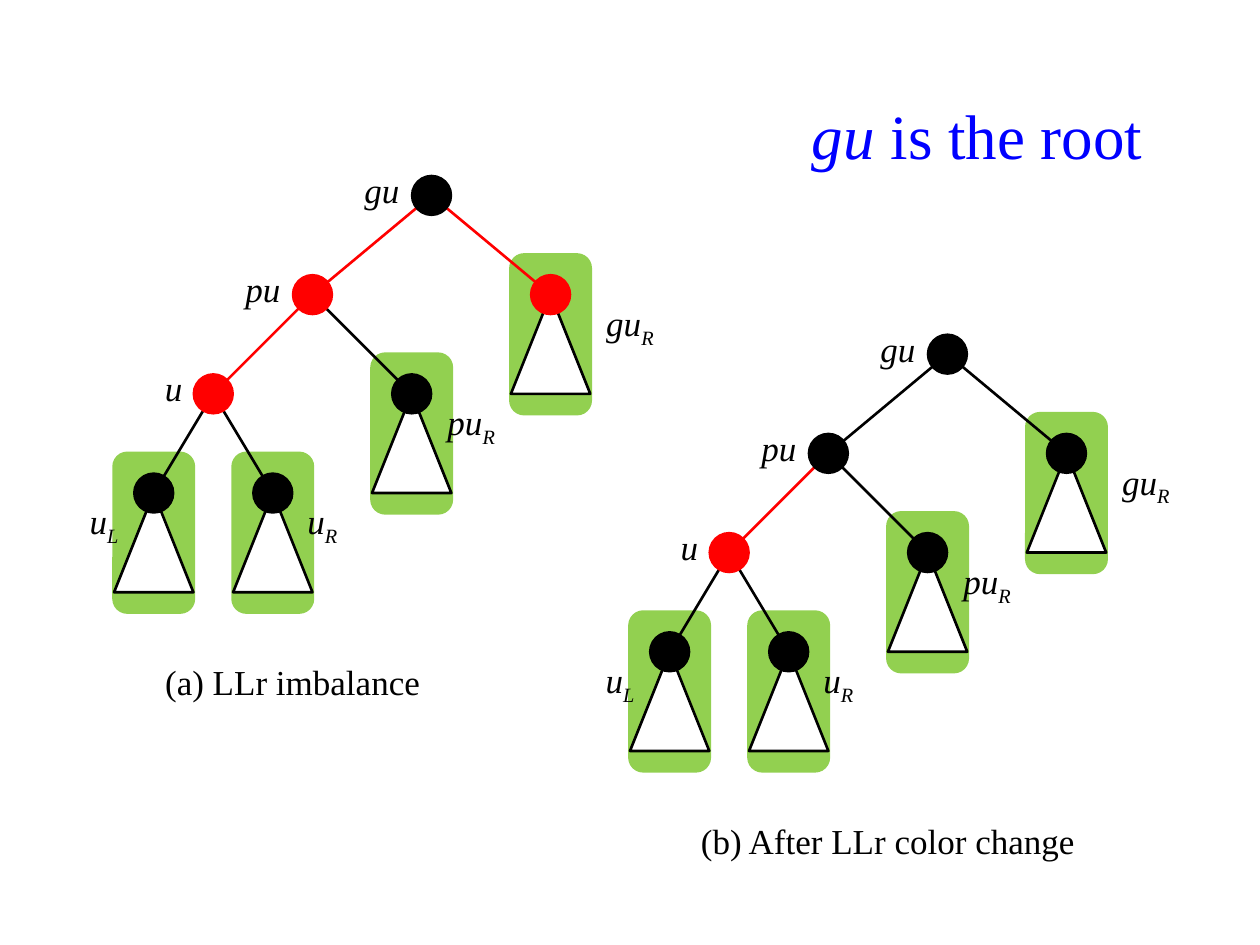
from lxml.etree import SubElement
from pptx import Presentation
from pptx.dml.color import RGBColor
from pptx.enum.shapes import MSO_CONNECTOR, MSO_SHAPE
from pptx.enum.text import MSO_ANCHOR, PP_ALIGN
from pptx.oxml.ns import qn
from pptx.util import Cm, Pt

BLACK, RED, GREEN, WHITE, BLUE = "000000", "FF0000", "92D050", "FFFFFF", "0000FF"
rgb = RGBColor.from_string

prs = Presentation()
prs.slide_width, prs.slide_height = Cm(25.4), Cm(19.05)
s = prs.slides.add_slide(prs.slide_layouts[6])


def shape(kind, x, y, w, h, fill, line, weight):
    sp = s.shapes.add_shape(kind, Cm(x), Cm(y), Cm(w), Cm(h))
    sp.shadow.inherit = False
    sp.fill.solid()
    sp.fill.fore_color.rgb = rgb(fill)
    sp.line.color.rgb = rgb(line)
    sp.line.width = Pt(weight)


def text(x, y, w, h, plain="", italic="", sub="", size=20, color=BLACK,
         anchor=MSO_ANCHOR.MIDDLE):
    """Centred line: italic part, its subscript, then the plain part."""
    tf = s.shapes.add_textbox(Cm(x), Cm(y), Cm(w), Cm(h)).text_frame
    tf.word_wrap = False
    tf.vertical_anchor = anchor
    tf.margin_left = tf.margin_right = tf.margin_top = 0
    tf.margin_bottom = Cm(0.1) if anchor == MSO_ANCHOR.BOTTOM else 0
    p = tf.paragraphs[0]
    p.alignment = PP_ALIGN.CENTER
    for part in (italic, sub, plain):
        if not part:
            continue
        r = p.add_run()
        r.text = part
        r.font.name = "Times New Roman"
        r.font.size = Pt(size)
        r.font.italic = part != plain
        r.font.color.rgb = rgb(color)
        if part == sub:
            r._r.get_or_add_rPr().set("baseline", "-25000")


# Title
text(14.7, 1.5, 10, 2.4, " is the root", italic="gu", size=36, color=BLUE)

# Node: parent, centre from the root, label left and top from the centre, label width
nodes = {
    "gu": (None, 0, 0, -1.6, -0.4, 1.2),
    "pu": ("gu", -2.4, 2, -1.6, -0.4, 1.2),
    "u": ("pu", -4.4, 4, -1.2, -0.4, 0.8),
    "guR": ("gu", 2.4, 2, 0.8, 0.4, 1.6),
    "puR": ("pu", -0.4, 4, 0.4, 0.4, 1.6),
    "uL": ("u", -5.6, 6, -1.6, 0.4, 1.2),
    "uR": ("u", -3.2, 6, 0.4, 0.4, 1.2),
}
subtrees = ("guR", "puR", "uL", "uR")

# Tree: root centre, red nodes, caption, caption left from the root, caption width
trees = [
    (8.7, 3.94, ("pu", "u", "guR"), "(a) LLr imbalance", -6, 6.4),
    (19.1, 7.14, ("u",), "(b) After LLr color change", -5.6, 8.8),
]

for x0, y0, reds, caption, cap_dx, cap_w in trees:
    centres = {n: (x0 + v[1], y0 + v[2]) for n, v in nodes.items()}
    colors = {n: RED if n in reds else BLACK for n in nodes}

    # Subtree backgrounds
    for n in subtrees:
        x, y = centres[n]
        shape(MSO_SHAPE.FLOWCHART_ALTERNATE_PROCESS, x - 0.8, y - 0.8, 1.6, 3.2,
              GREEN, GREEN, 2)

    # Edges take the colour of the child
    for n, (parent, *_) in nodes.items():
        if parent:
            ends = [Cm(v) for v in centres[parent] + centres[n]]
            edge = s.shapes.add_connector(MSO_CONNECTOR.STRAIGHT, *ends)
            edge.line.color.rgb = rgb(colors[n])
            edge.line.width = Pt(1.5)
            SubElement(edge._element.spPr, qn("a:effectLst"))

    # Subtree triangles
    for n in subtrees:
        x, y = centres[n]
        shape(MSO_SHAPE.ISOSCELES_TRIANGLE, x - 0.8, y, 1.6, 2, WHITE, BLACK, 1.5)

    # Nodes and labels
    for n, (_, _, _, dx, dy, w) in nodes.items():
        x, y = centres[n]
        shape(MSO_SHAPE.OVAL, x - 0.4, y - 0.4, 0.8, 0.8, colors[n], colors[n], 1)
        name = n.rstrip("LR")
        text(x + dx, y + dy, w, 0.8, italic=name, sub=n[len(name):],
             anchor=MSO_ANCHOR.BOTTOM)

    # Caption
    text(x0 + cap_dx, y0 + 9.2, cap_w, 1.2, caption)

prs.save("out.pptx")
